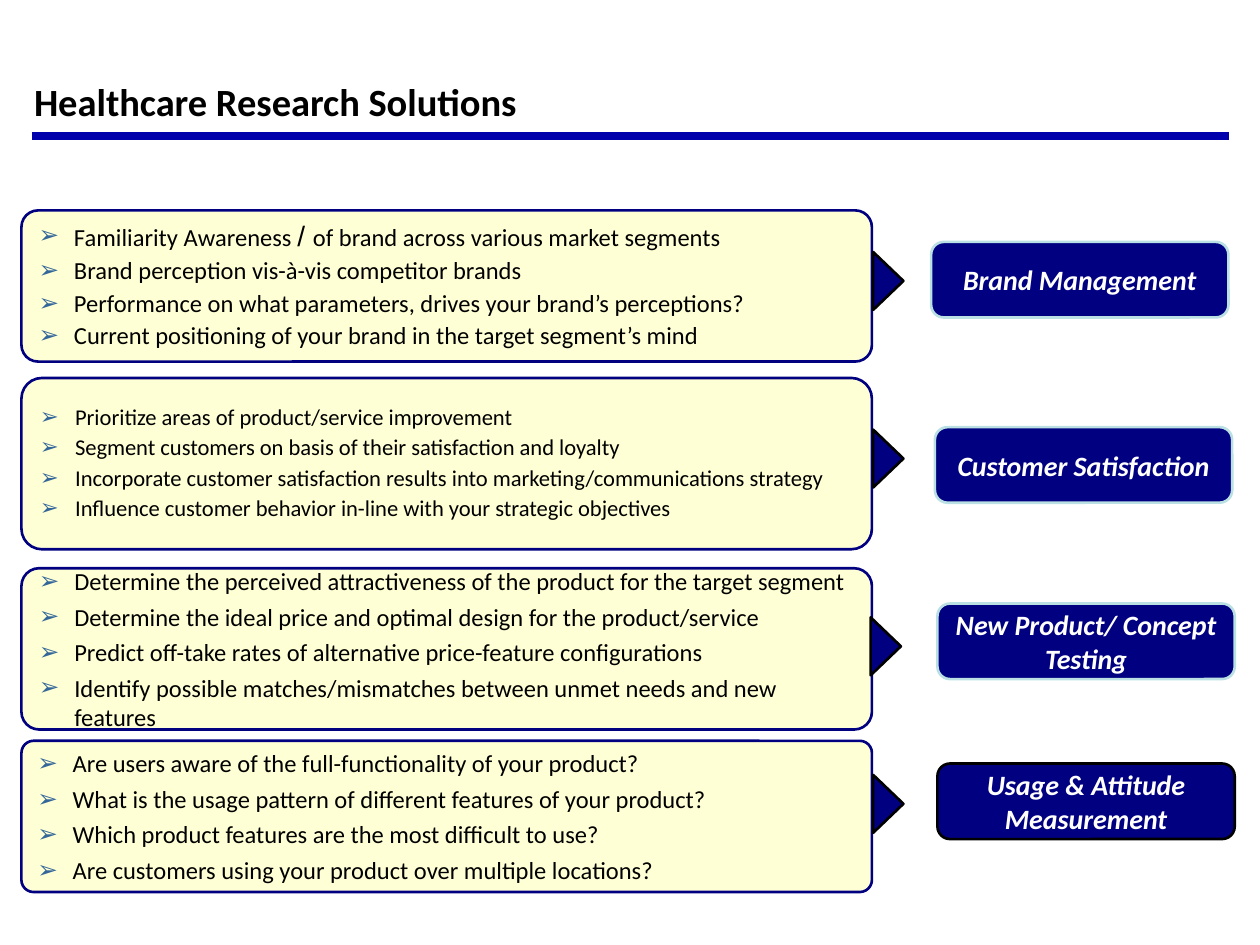
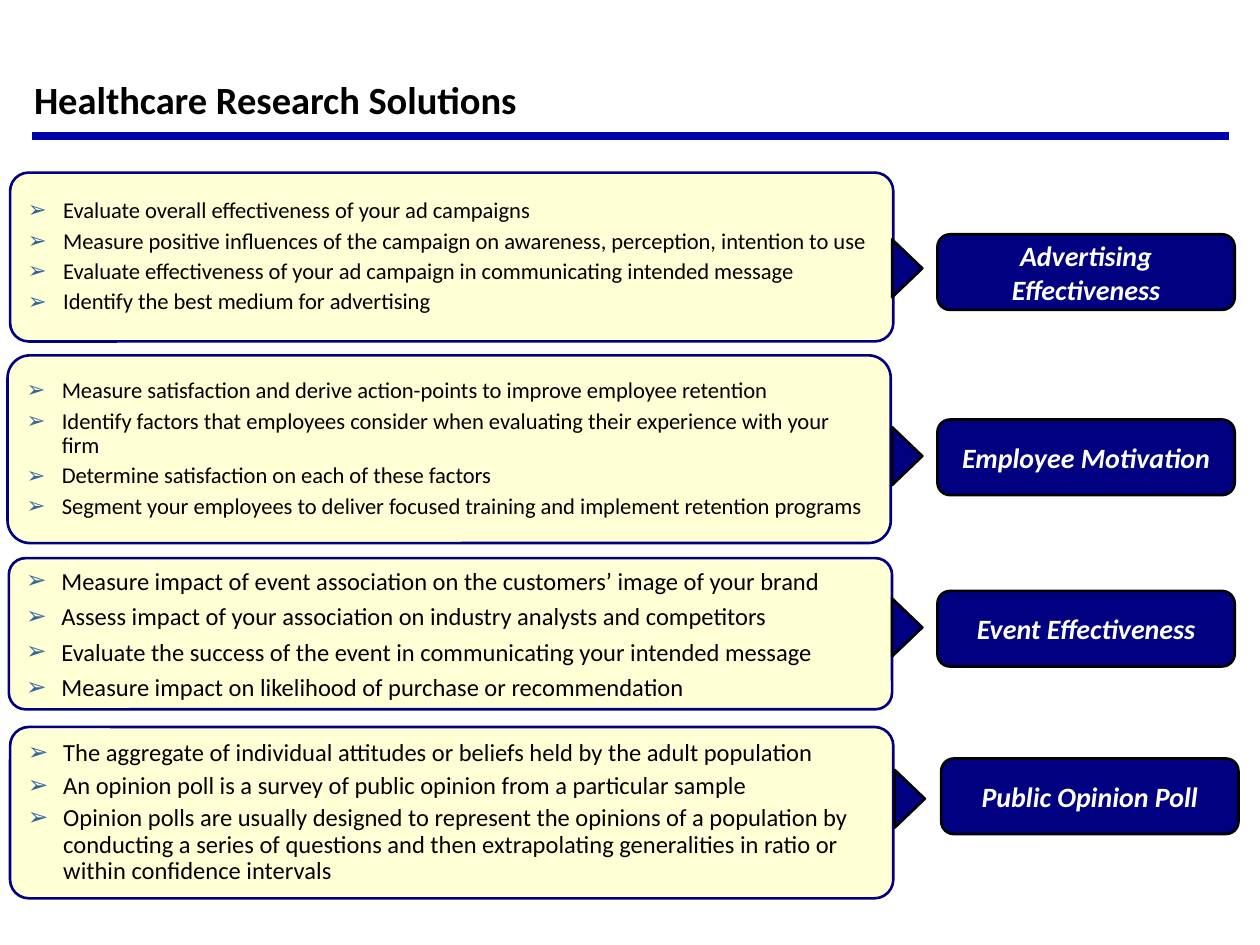
"""Build two slides that link research questions to healthcare research solutions."""
from dataclasses import dataclass
from typing import NamedTuple

from lxml import etree
from pptx import Presentation
from pptx import util as u
from pptx.dml.color import RGBColor
from pptx.enum import shapes, text
from pptx.oxml import ns


@dataclass(frozen=True)
class Theme:
    """Colours, fonts and type sizes shared by both slides."""

    navy: str = "000080"
    rule: str = "0000AC"
    cream: str = "FFFF99"
    cream_alpha: int = 40
    bullet: str = "336699"
    ice: str = "BBE0E3"
    black: str = "000000"
    white: str = "FFFFFF"
    font: str = "Calibri"
    slash_font: str = "Arial"
    title_size: float = 22
    label_size: float = 16
    body_size: float = 14
    small_size: float = 12.9
    outline: float = 1.5
    rule_width: float = 4.5


class Area(NamedTuple):
    """A rectangle in grid columns and rows."""

    left: float
    top: float
    width: float
    height: float


class Topic(NamedTuple):
    """A panel of points, its pointer and its label."""

    label: str
    panel: Area
    pointer: tuple[float, float]
    label_at: tuple[float, float]
    points: tuple[str, ...]
    corner: float = 0.11
    size: float = Theme.body_size
    spacing: float = 0.9
    border: str = Theme.black


class Sheet(NamedTuple):
    """A slide's title position and its topics."""

    title_top: float
    title_anchor: text.MSO_ANCHOR
    topics: tuple[Topic, ...]


THEME = Theme()
COLUMNS, ROWS = 100, 75
WIDTH, HEIGHT = u.Inches(10), u.Inches(7.5)
TITLE = "Healthcare Research Solutions"
LABEL_SIZE = (23.6, 6)
POINTER_SIZE = (4.6, 2.4)
HANG = u.Inches(0.28)

SHEETS = (
    Sheet(4.4, text.MSO_ANCHOR.MIDDLE, (
        Topic("Brand Management", Area(1.7, 16.7, 67.5, 12), (68.2, 21.1), (73.9, 19.2), (
            "Familiarity Awareness / of brand across various market segments",
            "Brand perception vis-à-vis competitor brands",
            "Performance on what parameters, drives your brand’s perceptions?",
            "Current positioning of your brand in the target segment’s mind",
        ), border=THEME.ice),
        Topic("Customer Satisfaction", Area(1.7, 30, 67.5, 13.6), (68.2, 35.2), (74.2, 33.9), (
            "Prioritize areas of product/service improvement",
            "Segment customers on basis of their satisfaction and loyalty",
            "Incorporate customer satisfaction results into marketing/communications strategy",
            "Influence customer behavior in-line with your strategic objectives",
        ), corner=0.12, size=THEME.small_size, border=THEME.ice),
        Topic("New Product/ Concept Testing", Area(1.7, 45.1, 67.5, 12.8), (68, 50.1), (74.4, 47.9), (
            "Determine the perceived attractiveness of the product for the target segment",
            "Determine the ideal price and optimal design for the product/service",
            "Predict off-take rates of alternative price-feature configurations",
            "Identify possible matches/mismatches between unmet needs and new features",
        ), spacing=1.0, border=THEME.ice),
        Topic("Usage & Attitude Measurement", Area(1.7, 58.8, 67.5, 12), (68.2, 62.6), (74.4, 60.6), (
            "Are users aware of the full-functionality of your product?",
            "What is the usage pattern of different features of your product?",
            "Which product features are the most difficult to use?",
            "Are customers using your product over multiple locations?",
        ), corner=0.08, spacing=1.0),
    )),
    Sheet(5.5, text.MSO_ANCHOR.TOP, (
        Topic("Advertising Effectiveness", Area(0.8, 13.7, 70.1, 13.4), (69.7, 20.1), (74.4, 18.6), (
            "Evaluate overall effectiveness of your ad campaigns",
            "Measure positive influences of the campaign on awareness, perception, intention to use",
            "Evaluate effectiveness of your ad campaign in communicating intended message",
            "Identify the best medium for advertising",
        ), size=THEME.small_size),
        Topic("Employee Motivation", Area(0.6, 28.2, 70.1, 14.9), (69.7, 35), (74.4, 33.3), (
            "Measure satisfaction and derive action-points to improve employee retention",
            "Identify factors that employees consider when evaluating their experience with your firm",
            "Determine satisfaction on each of these factors",
            "Segment your employees to deliver focused training and implement retention programs",
        ), corner=0.12, size=THEME.small_size),
        Topic("Event Effectiveness", Area(0.7, 44.3, 70.1, 12), (69.7, 48.6), (74.4, 46.9), (
            "Measure impact of event association on the customers’ image of your brand",
            "Assess impact of your association on industry analysts and competitors",
            "Evaluate the success of the event in communicating your intended message",
            "Measure impact on likelihood of purchase or recommendation",
        ), spacing=1.0),
        Topic("Public Opinion Poll", Area(0.8, 57.7, 70.1, 13.6), (69.9, 62.2), (74.7, 60.2), (
            "The aggregate of individual attitudes or beliefs held by the adult population",
            "An opinion poll is a survey of public opinion from a particular sample",
            "Opinion polls are usually designed to represent the opinions of a population by "
            "conducting a series of questions and then extrapolating generalities in ratio or "
            "within confidence intervals",
        )),
    )),
)


def place(area: Area) -> tuple[int, int, int, int]:
    """Convert a grid area to slide lengths."""
    column, row = WIDTH / COLUMNS, HEIGHT / ROWS
    return (round(area.left * column), round(area.top * row),
            round(area.width * column), round(area.height * row))


def add_tag(parent, tag: str, **attributes: str):
    """Append a drawing element to its parent."""
    return etree.SubElement(parent, ns.qn(tag), attributes)


def style_span(span, size: float, color: str, font: str = THEME.font,
               bold: bool = False, italic: bool = False) -> None:
    """Format one run of text."""
    span.font.name, span.font.size = font, u.Pt(size)
    span.font.bold, span.font.italic = bold, italic
    span.font.color.rgb = RGBColor.from_string(color)


def add_box(page, kind: shapes.MSO_SHAPE, area: Area, fill: str, border: str):
    """Draw a filled and outlined preset shape."""
    box = page.shapes.add_shape(kind, *place(area))
    box.shadow.inherit = False
    box.fill.solid()
    box.fill.fore_color.rgb = RGBColor.from_string(fill)
    box.line.color.rgb = RGBColor.from_string(border)
    box.line.width = u.Pt(THEME.outline)
    box.text_frame.word_wrap = True
    box.text_frame.vertical_anchor = text.MSO_ANCHOR.MIDDLE
    return box


def add_title(page, sheet: Sheet) -> None:
    """Place the title and the rule below it."""
    box = page.shapes.title
    box.left, box.top, box.width, box.height = place(Area(1.7, sheet.title_top, 82.5, 7.2))
    box.text_frame.text = TITLE
    box.text_frame.vertical_anchor = sheet.title_anchor
    para = box.text_frame.paragraphs[0]
    para.alignment = text.PP_ALIGN.LEFT
    style_span(para.runs[0], THEME.title_size, THEME.black, bold=True)
    left, top, width, _ = place(Area(2.5, 10.8, 95, 0))
    rule = page.shapes.add_connector(shapes.MSO_CONNECTOR.STRAIGHT, left, top, left + width, top)
    rule.line.color.rgb = RGBColor.from_string(THEME.rule)
    rule.line.width = u.Pt(THEME.rule_width)
    add_tag(rule.element.spPr, "a:effectLst")


def add_point(para, point: str, topic: Topic, first: bool) -> None:
    """Write one bulleted point, with any spaced slash set larger."""
    para.alignment = text.PP_ALIGN.LEFT
    para.line_spacing = topic.spacing
    para.space_before = u.Pt(0 if first else 3.5)
    properties = para._p.get_or_add_pPr()
    properties.set("marL", str(HANG))
    properties.set("indent", str(-HANG))
    add_tag(add_tag(properties, "a:buClr"), "a:srgbClr", val=THEME.bullet)
    add_tag(properties, "a:buFont", typeface=THEME.slash_font)
    add_tag(properties, "a:buChar", char="➢")
    for part in filter(None, point.partition("/ ")):
        span = para.add_run()
        span.text = part
        if part == "/ ":
            style_span(span, THEME.label_size, THEME.black, THEME.slash_font)
        else:
            style_span(span, topic.size, THEME.black)


def add_panel(page, topic: Topic) -> None:
    """Draw the translucent panel and its points."""
    box = add_box(page, shapes.MSO_SHAPE.ROUNDED_RECTANGLE, topic.panel, THEME.cream, THEME.navy)
    box.adjustments[0] = topic.corner
    color = box.element.spPr.find(ns.qn("a:solidFill")).find(ns.qn("a:srgbClr"))
    add_tag(color, "a:alpha", val=str(THEME.cream_alpha * 1000))
    frame = box.text_frame
    for index, point in enumerate(topic.points):
        para = frame.add_paragraph() if index else frame.paragraphs[0]
        add_point(para, point, topic, first=index == 0)


def add_label(page, topic: Topic) -> None:
    """Draw the solution's name in a dark box."""
    box = add_box(page, shapes.MSO_SHAPE.ROUNDED_RECTANGLE,
                  Area(*topic.label_at, *LABEL_SIZE), THEME.navy, topic.border)
    box.text_frame.text = topic.label
    para = box.text_frame.paragraphs[0]
    para.alignment = text.PP_ALIGN.CENTER
    style_span(para.runs[0], THEME.label_size, THEME.white, bold=True, italic=True)


def add_topic(page, topic: Topic) -> None:
    """Draw a panel, its pointer and its label."""
    add_panel(page, topic)
    pointer = add_box(page, shapes.MSO_SHAPE.ISOSCELES_TRIANGLE,
                      Area(*topic.pointer, *POINTER_SIZE), THEME.navy, THEME.black)
    pointer.rotation = 90
    add_label(page, topic)


def main() -> None:
    """Build and save the deck."""
    deck = Presentation()
    deck.slide_width, deck.slide_height = WIDTH, HEIGHT
    title_only = deck.slide_layouts.get_by_name("Title Only")
    for sheet in SHEETS:
        page = deck.slides.add_slide(title_only)
        add_title(page, sheet)
        for topic in sheet.topics:
            add_topic(page, topic)
    deck.save("out.pptx")


if __name__ == "__main__":
    main()
